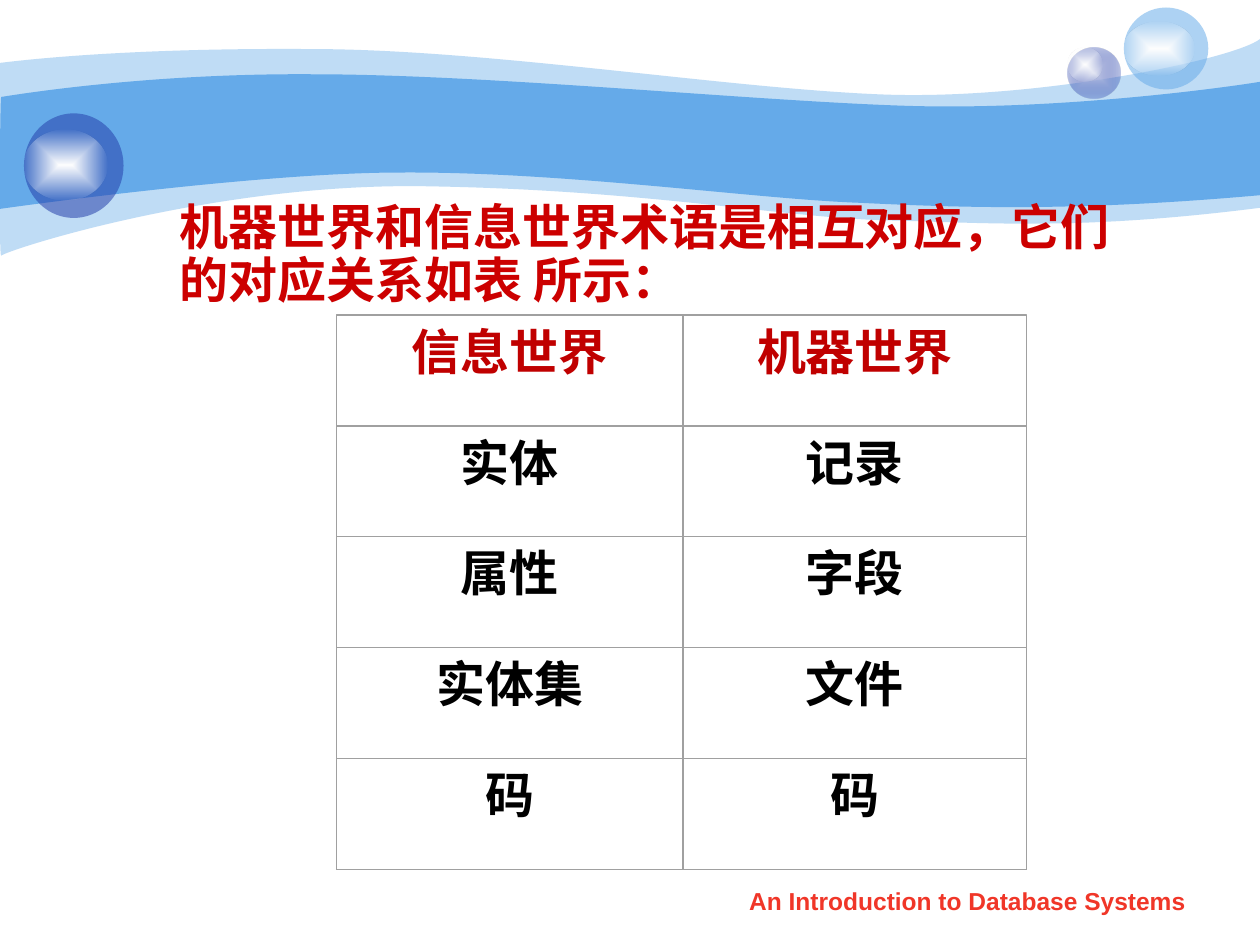
from dataclasses import dataclass

from lxml.etree import SubElement
from pptx import Presentation
from pptx.dml.color import RGBColor
from pptx.enum.shapes import MSO_SHAPE
from pptx.enum.text import PP_ALIGN
from pptx.oxml.ns import qn
from pptx.util import Inches, Pt


@dataclass(frozen=True)
class Theme:
    sky: str = "65AAE9"
    navy: str = "233DA9"
    lavender: str = "C6CCE8"
    white: str = "FFFFFF"
    gloss_edge: str = "FEFEFE"
    heading: str = "CC0000"
    header: str = "C00000"
    body: str = "000000"
    footer: str = "F03628"
    border: str = "A0A0A0"
    chinese_font: str = "Noto Sans CJK SC"
    latin_font: str = "Arial"
    body_size: int = 28
    footer_size: int = 14


THEME = Theme()

PALE_WAVE = [
    [(0, 0.5)],
    [(0.24, 0.47), (1.07, 0.38), (2.47, 0.39)],
    [(3.86, 0.39), (5.75, 0.7), (6.99, 0.75)],
    [(8.22, 0.8), (9.8, 0.47), (10, 0.31)],
    [(10, 1.65)],
    [(8.58, 1.83), (7.87, 1.77), (7.05, 1.75)],
    [(6.22, 1.73), (5.15, 1.51), (3.43, 1.48)],
    [(1.72, 1.44), (0.04, 1.99), (0.01, 2.03)],
    [(-0.01, 2.08), (0, 0.75), (0, 0.5)],
]
BRIGHT_WAVE = [
    [(0.01, 0.77)],
    [(0.02, 0.77), (1.1, 0.58), (2.48, 0.59)],
    [(3.86, 0.59), (5.95, 0.8), (7.18, 0.84)],
    [(8.41, 0.88), (9.76, 0.69), (10, 0.65)],
    [(10, 1.55)],
    [(8.53, 1.68), (7.65, 1.65), (6.82, 1.61)],
    [(5.99, 1.58), (4.47, 1.36), (3.17, 1.37)],
    [(2.03, 1.37), (-0.02, 1.66), (-0.01, 1.66)],
    [(0, 1.66), (0, 0.77), (0.01, 0.77)],
]
TERMS = [
    ("信息世界", "机器世界"),
    ("实体", "记录"),
    ("属性", "字段"),
    ("实体集", "文件"),
    ("码", "码"),
]


def add_color(parent, color, opacity):
    element = SubElement(parent, qn("a:srgbClr"), val=color)
    if opacity < 100:
        SubElement(element, qn("a:alpha"), val=str(opacity * 1000))


def paint_solid(shape, color, opacity=100):
    shape.shadow.inherit = False
    shape.line.fill.background()
    shape.fill.solid()
    solid = shape._element.spPr.find(qn("a:solidFill"))
    solid.clear()
    add_color(solid, color, opacity)


def paint_glow(shape, center, edge, edge_opacity):
    paint_solid(shape, center)
    properties = shape._element.spPr
    solid = properties.find(qn("a:solidFill"))
    gradient = SubElement(properties, qn("a:gradFill"), rotWithShape="1")
    properties.replace(solid, gradient)
    stops = SubElement(gradient, qn("a:gsLst"))
    for position, color, opacity in ((0, center, 100), (100, edge, edge_opacity)):
        stop = SubElement(stops, qn("a:gs"), pos=str(position * 1000))
        add_color(stop, color, opacity)
    path = SubElement(gradient, qn("a:path"), path="rect")
    SubElement(path, qn("a:fillToRect"), l="50000", t="50000", r="50000", b="50000")


def bend_segments(shape, segments):
    lines = list(shape._element.iter(qn("a:lnTo")))
    for segment in segments:
        handles, lines = lines[: len(segment)], lines[len(segment) :]
        if len(segment) == 3:
            outline = handles[0].getparent()
            curve = outline.makeelement(qn("a:cubicBezTo"), {})
            handles[0].addprevious(curve)
            for handle in handles:
                curve.append(handle[0])
                outline.remove(handle)


def add_wave(slide, left, top, segments, opacity):
    places = [
        (Inches(left + x), Inches(top + y)) for segment in segments for x, y in segment
    ]
    builder = slide.shapes.build_freeform(*places[0], scale=1.0)
    builder.add_line_segments(places[1:], close=True)
    wave = builder.convert_to_shape()
    bend_segments(wave, segments[1:])
    paint_solid(wave, THEME.sky, opacity)


def add_ellipse(shapes, left, top, width, height):
    return shapes.add_shape(
        MSO_SHAPE.OVAL, Inches(left), Inches(top), Inches(width), Inches(height)
    )


def add_gloss(shapes, left, top, width, height):
    gloss = add_ellipse(shapes, left, top, width, height)
    paint_glow(gloss, THEME.white, THEME.gloss_edge, 0)


def add_banner(slide, left, top):
    add_wave(slide, left, top, PALE_WAVE, 41)
    add_wave(slide, left, top, BRIGHT_WAVE, 100)

    shapes = slide.shapes.add_group_shape().shapes
    small = add_ellipse(shapes, left + 8.47, top + 0.38, 0.42, 0.4)
    paint_glow(small, THEME.lavender, THEME.navy, 31)
    add_gloss(shapes, left + 8.47, top + 0.38, 0.28, 0.27)

    bubbles = [
        (8.92, 0.06, 0.67, 0.65, THEME.sky, 0.11, 0.56, 0.43),
        (0.19, 0.9, 0.79, 0.83, THEME.navy, 0.13, 0.66, 0.56),
    ]
    for x, y, width, height, color, drop, gloss_width, gloss_height in bubbles:
        shapes = slide.shapes.add_group_shape().shapes
        bubble = add_ellipse(shapes, left + x, top + y, width, height)
        paint_solid(bubble, color, 53)
        add_gloss(shapes, left + x, top + y + drop, gloss_width, gloss_height)


def style_paragraph(paragraph, color, size, name):
    font = paragraph.font
    font.size = Pt(size)
    font.bold = True
    font.color.rgb = RGBColor.from_string(color)
    font.name = name
    SubElement(font._rPr, qn("a:ea"), typeface=THEME.chinese_font)


def add_text_box(shapes, left, top, width, height):
    box = shapes.add_textbox(Inches(left), Inches(top), Inches(width), Inches(height))
    box.text_frame.word_wrap = True
    return box.text_frame.paragraphs[0]


def add_heading(slide, left, top, width, height):
    paragraph = add_text_box(slide.shapes, left, top, width, height)
    paragraph.line_spacing = 0.9
    paragraph.add_run().text = "机器世界和信息世界术语是相互对应，它们的对应关系如表"
    ending = paragraph.add_run()
    ending.text = " 所示："
    ending.font.name = THEME.latin_font
    style_paragraph(paragraph, THEME.heading, THEME.body_size, THEME.chinese_font)


def add_border(shapes, left, top, width, height, weight):
    border = shapes.add_shape(
        MSO_SHAPE.RECTANGLE, Inches(left), Inches(top), Inches(width), Inches(height)
    )
    border.shadow.inherit = False
    border.fill.background()
    border.line.color.rgb = RGBColor.from_string(THEME.border)
    border.line.width = Pt(weight)


def add_term_grid(slide, left, top, width, height):
    shapes = slide.shapes.add_group_shape().shapes
    row_height = height / len(TERMS)
    padding = 0.15
    columns = [(left, 2.75), (left + 2.75, width - 2.75)]
    for row, terms in enumerate(TERMS):
        cell_top = top + row * row_height
        color = THEME.body if row else THEME.header
        for (cell_left, cell_width), term in zip(columns, terms):
            paragraph = add_text_box(
                shapes,
                cell_left + padding,
                cell_top,
                cell_width - 2 * padding,
                row_height,
            )
            paragraph.text = term
            paragraph.alignment = PP_ALIGN.CENTER
            style_paragraph(paragraph, color, THEME.body_size, THEME.chinese_font)
            add_border(shapes, cell_left, cell_top, cell_width, row_height, 0)
    add_border(shapes, left, top, width, height, 0.5)


def add_footer(slide, left, top, width, height):
    paragraph = add_text_box(slide.shapes, left, top, width, height)
    paragraph.text = "An Introduction to Database Systems"
    paragraph.alignment = PP_ALIGN.CENTER
    style_paragraph(paragraph, THEME.footer, THEME.footer_size, THEME.latin_font)


def main():
    presentation = Presentation()
    presentation.slide_width, presentation.slide_height = Inches(10), Inches(7.5)
    slide = presentation.slides.add_slide(presentation.slide_layouts[6])
    add_banner(slide, 0, 0)
    add_heading(slide, 1.33, 1.56, 7.61, 1.08)
    add_term_grid(slide, 2.67, 2.5, 5.48, 4.4)
    add_footer(slide, 5.71, 6.98, 3.94, 0.35)
    presentation.save("out.pptx")


if __name__ == "__main__":
    main()
